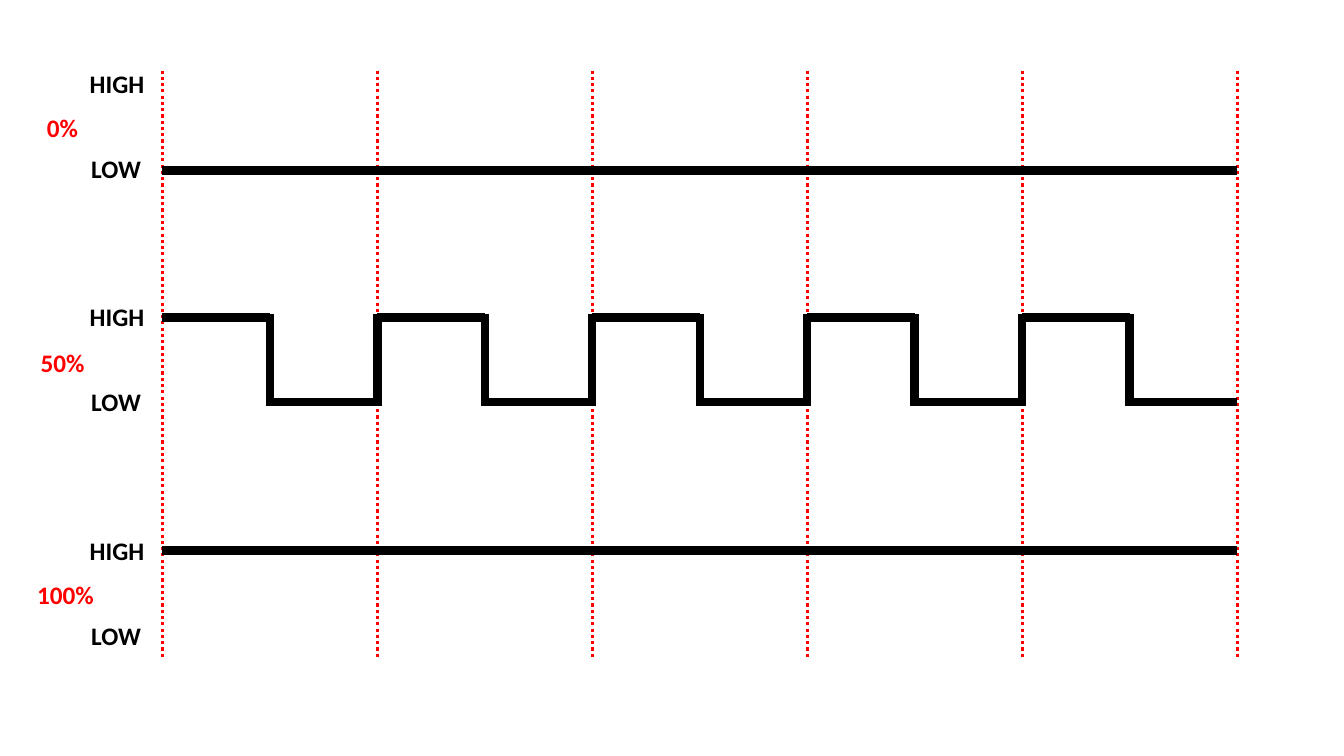
from lxml.etree import SubElement
from pptx import Presentation
from pptx.dml.color import RGBColor
from pptx.enum.dml import MSO_LINE
from pptx.enum.shapes import MSO_CONNECTOR
from pptx.enum.text import MSO_ANCHOR, MSO_AUTO_SIZE, PP_ALIGN
from pptx.oxml.ns import qn
from pptx.util import Inches, Pt

RED = RGBColor(0xFF, 0, 0)
BLACK = RGBColor(0, 0, 0)
WIDE, TALL = 13.33, 7.5
LEFT, RIGHT = 0.1208 * WIDE, 0.9205 * WIDE
TOP, BASE = 0.0933 * TALL, 0.8693 * TALL
CYCLES = 5
STEP = (RIGHT - LEFT) / CYCLES
SWING = 0.112 * TALL
CAP = 0.005 * TALL
TAG_W, TAG_H = 0.99, 0.4


def add_line(slide, x1, y1, x2, y2, color=BLACK, width=6, dash=None):
    line = slide.shapes.add_connector(
        MSO_CONNECTOR.STRAIGHT, *map(Inches, (x1, y1, x2, y2)))
    line.line.color.rgb = color
    line.line.width = Pt(width)
    if dash:
        line.line.dash_style = dash
    SubElement(line._element.spPr, qn("a:effectLst"))


def add_tag(slide, text, x, y, color=BLACK):
    box = slide.shapes.add_textbox(
        *map(Inches, (x - TAG_W / 2, y - TAG_H / 2, TAG_W, TAG_H)))
    frame = box.text_frame
    frame.word_wrap = True
    frame.auto_size = MSO_AUTO_SIZE.SHAPE_TO_FIT_TEXT
    frame.vertical_anchor = MSO_ANCHOR.TOP
    para = frame.paragraphs[0]
    para.text = text
    para.alignment = PP_ALIGN.CENTER
    para.font.name = "Calibri"
    para.font.size = Pt(18)
    para.font.bold = True
    para.font.color.rgb = color


def draw_grid(slide, left, top, base):
    for i in range(CYCLES + 1):
        x = left + i * STEP
        add_line(slide, x, top, x, base, RED, 2.25, MSO_LINE.ROUND_DOT)


def draw_wave(slide, left, high, duty):
    low = high + SWING
    if duty in (0, 1):
        y = high if duty else low
        add_line(slide, left, y, left + CYCLES * STEP, y)
        return
    for i in range(CYCLES):
        start = left + i * STEP
        fall, end = start + duty * STEP, start + STEP
        add_line(slide, start, high, fall, high)
        add_line(slide, fall, low, end, low)
        edges = (start, fall) if i else (fall,)
        for x in edges:
            add_line(slide, x, high - CAP, x, low + CAP)


def draw_tags(slide, left, high, mid, duty):
    add_tag(slide, "HIGH", left - 0.45, high)
    add_tag(slide, "LOW", left - 0.46, high + SWING)
    add_tag(slide, f"{duty:.0%}", left - (0.96 if duty == 1 else 0.99), mid, RED)


def main():
    deck = Presentation()
    deck.slide_width, deck.slide_height = Inches(WIDE), Inches(TALL)
    slide = deck.slides.add_slide(deck.slide_layouts[6])
    draw_grid(slide, LEFT, TOP, BASE)
    for duty, wave, tag, mid in (
            (0, 0.85, 0.83, 1.27), (0.5, 3.15, 3.14, 3.6), (1, 5.46, 5.46, 5.9)):
        draw_wave(slide, LEFT, wave, duty)
        draw_tags(slide, LEFT, tag, mid, duty)
    deck.save("out.pptx")


if __name__ == "__main__":
    main()
